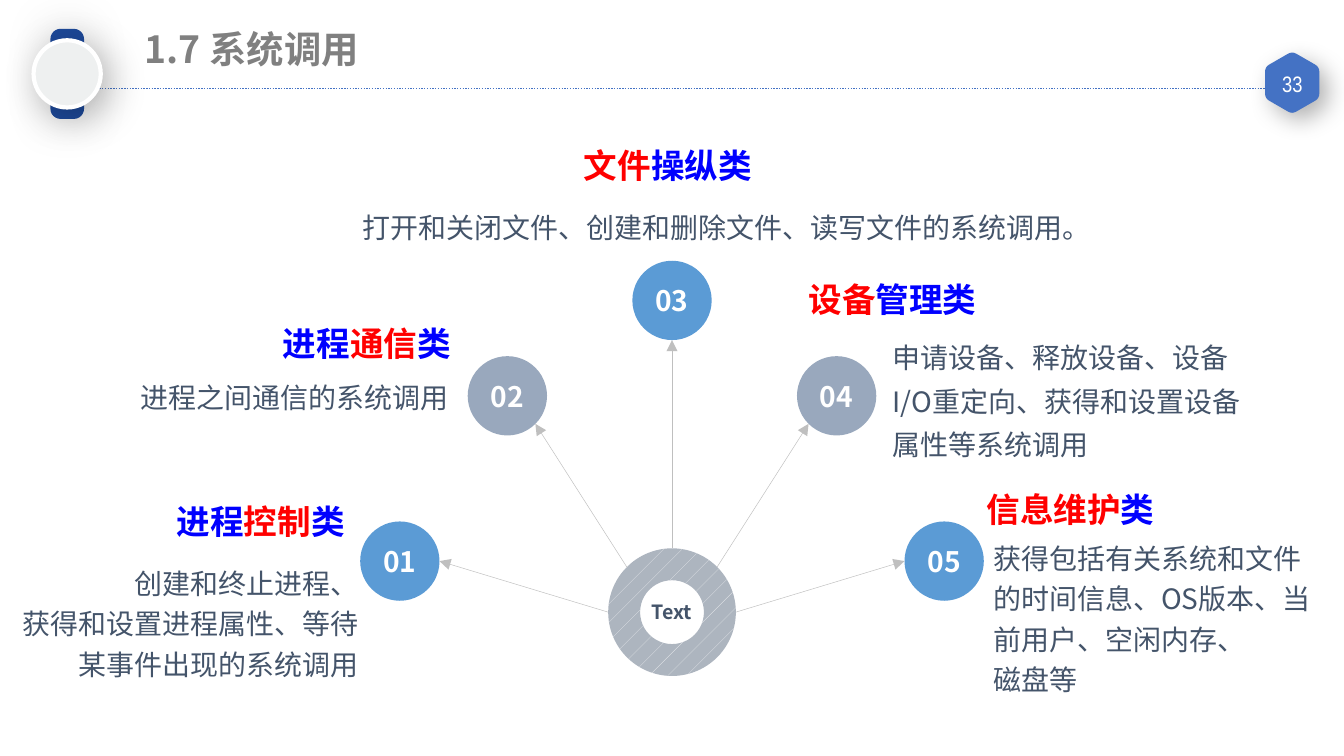
from collections import namedtuple
from math import cos, radians, sin

from lxml.etree import SubElement
from pptx import Presentation
from pptx.dml.color import RGBColor
from pptx.enum.dml import MSO_LINE, MSO_PATTERN
from pptx.enum.shapes import MSO_CONNECTOR, MSO_SHAPE
from pptx.enum.text import MSO_ANCHOR, MSO_AUTO_SIZE, PP_ALIGN
from pptx.oxml.ns import qn
from pptx.util import Inches, Pt

FONT = "Noto Sans CJK SC"
BLUE, RED, SLATE = "0000FF", "FF0000", "44546A"
SKY, STEEL, ACCENT = "5B9BD5", "99A8BD", "4472C4"
LEFT, CENTER, RIGHT = PP_ALIGN.LEFT, PP_ALIGN.CENTER, PP_ALIGN.RIGHT
UNIT = 0.1  # one grid column or row, in inches
COLUMNS, ROWS = 100, 56.25

Box = namedtuple("Box", "left top width height")
Category = namedtuple(
    "Category",
    "number offset color hub_angle align heading heading_box body body_box spacing")

# Offsets run from the hub's centre; text boxes from the fan's corner.
CATEGORIES = [
    Category("01", (-20.25, -3.8), SKY, 180, RIGHT,
             [("进程", BLUE), ("控制", RED), ("类", BLUE)], (5.75, 26.85, 20.6, 3.4),
             ["创建和终止进程、", "获得和设置进程属性、等待某事件出现的系统调用"],
             (0.65, 31.25, 26.7, 10.4), 1.2),
    Category("02", (-12.25, -16.1), STEEL, 225, RIGHT,
             [("进程", BLUE), ("通信", RED), ("类", BLUE)], (13.65, 13.6, 20.6, 3.4),
             ["进程之间通信的系统调用"], (9.2, 17.4, 24.9, 4.9), 1.2),
    Category("03", (0, -23.2), SKY, 270, CENTER,
             [("文件", RED), ("操纵类", BLUE)], (38.95, 0.4, 21.5, 3.4),
             ["打开和关闭文件、创建和删除文件、读写文件的系统调用。"],
             (24, 4.3, 60.1, 4.6), 1.4),
    Category("04", (12.25, -16.1), STEEL, 315, LEFT,
             [("设备", RED), ("管理类", BLUE)], (59.45, 10.35, 20.5, 3.4),
             ["申请设备、释放设备、设备I/O重定向、获得和设置设备属性等系统调用"],
             (65.7, 14.2, 28.5, 9.2), 1.3),
    Category("05", (20.25, -3.8), SKY, 0, LEFT,
             [("信息维护", RED), ("类", BLUE)], (72.7, 26, 20.5, 3.4),
             ["获得包括有关系统和文件的时间信息、OS版本、当前用户、空闲内存、", "磁盘等"],
             (73.2, 29.4, 25.2, 13.3), 1.2),
]


def color(hex_text):
    return RGBColor.from_string(hex_text)


def grid(*units):
    return [Inches(unit * UNIT) for unit in units]


def within(box, left, top, width, height):
    return Box(box.left + left, box.top + top, width, height)


def centered(x, y, size):
    return Box(x - size / 2, y - size / 2, size, size)


def on_circle(x, y, radius, angle):
    return x + radius * cos(radians(angle)), y + radius * sin(radians(angle))


def write(shape, paragraphs, size=15, bold=False, align=LEFT, spacing=None,
          font=FONT, anchor=MSO_ANCHOR.TOP):
    """Fill a shape with paragraphs, each a list of (text, colour) runs."""
    frame = shape.text_frame
    frame.word_wrap = True
    frame.auto_size = MSO_AUTO_SIZE.NONE
    frame.vertical_anchor = anchor
    frame.margin_left = frame.margin_right = Inches(0.07)
    frame.margin_top = frame.margin_bottom = Inches(0.04)
    for index, runs in enumerate(paragraphs):
        paragraph = frame.add_paragraph() if index else frame.paragraphs[0]
        paragraph.alignment = align
        if spacing:
            paragraph.line_spacing = spacing
        for text, run_color in runs:
            run = paragraph.add_run()
            run.text = text
            run.font.size = Pt(size)
            run.font.bold = bold
            run.font.name = font
            run.font.color.rgb = color(run_color)
            east_asian = SubElement(run.font._element, qn("a:ea"))
            east_asian.set("typeface", font)


def add_text(slide, box, paragraphs, **text_format):
    write(slide.shapes.add_textbox(*grid(*box)), paragraphs, **text_format)


def style(shape, fill, line=None, line_width=1.0):
    shape.shadow.inherit = False
    shape.fill.solid()
    shape.fill.fore_color.rgb = color(fill)
    if line:
        shape.line.color.rgb = color(line)
        shape.line.width = Pt(line_width)
    else:
        shape.line.fill.background()


def add_preset(slide, preset, box, fill, **line_format):
    shape = slide.shapes.add_shape(preset, *grid(*box))
    style(shape, fill, **line_format)
    return shape


def cast_shadow(shape, opacity, blur, distance=0, angle=0):
    effects = shape._element.spPr.find(qn("a:effectLst"))
    shadow = SubElement(effects, qn("a:outerShdw"), blurRad=str(Pt(blur)),
                        dist=str(Pt(distance)), dir=str(angle * 60000),
                        algn="ctr", rotWithShape="0")
    black = SubElement(shadow, qn("a:srgbClr"), val="000000")
    SubElement(black, qn("a:alpha"), val=str(opacity * 1000))


def add_line(slide, start, end, line_color, width, dash=None, arrow=False):
    line = slide.shapes.add_connector(MSO_CONNECTOR.STRAIGHT, *grid(*start, *end))
    line.line.color.rgb = color(line_color)
    line.line.width = Pt(width)
    if dash:
        line.line.dash_style = dash
    if arrow:
        SubElement(line.line._get_or_add_ln(), qn("a:tailEnd"), type="triangle")
    SubElement(line._element.spPr, qn("a:effectLst"))


def add_watch(slide, box):
    strap_width = box.width / 2
    strap = add_preset(slide, MSO_SHAPE.ROUNDED_RECTANGLE,
                       within(box, strap_width / 2, 0, strap_width, box.height), "1D4999")
    strap.adjustments[0] = 0.3
    cast_shadow(strap, 17, 27)
    dial_top = (box.height - box.width) / 2
    dial = add_preset(slide, MSO_SHAPE.OVAL, within(box, 0, dial_top, box.width, box.width),
                      "EEF0F0", line="FFFFFF", line_width=2.25)
    cast_shadow(dial, 28, 22, 6, 45)


def add_page_badge(slide, box, number):
    """Draw a hexagon with rounded corners around the page number."""
    x, y = box.left + box.width / 2, box.top + box.height / 2
    corners = [on_circle(x, y, box.height / 2, angle) for angle in range(-90, 270, 60)]
    outline = []
    for index, corner in enumerate(corners):
        before, after = corners[index - 1], corners[(index + 1) % 6]
        for step in range(5):
            share = step / 4
            back, ahead = 0.14 * (1 - share) ** 2, 0.14 * share ** 2
            outline.append(tuple(Inches(UNIT * (c + back * (b - c) + ahead * (a - c)))
                                 for b, c, a in zip(before, corner, after)))
    builder = slide.shapes.build_freeform(*outline[0])
    builder.add_line_segments(outline[1:], close=True)
    badge = builder.convert_to_shape()
    style(badge, ACCENT, line=ACCENT)
    cast_shadow(badge, 30, 13, 6, 45)
    add_text(slide, within(box, 0, 1.1, box.width, 2.5), [[(number, "FFFFFF")]], size=12,
             font="Arial Narrow", align=CENTER, anchor=MSO_ANCHOR.MIDDLE)


def add_header(slide, box, title, number):
    add_line(slide, (box.left + 3.3, box.top + 6.6), (box.left + 94.3, box.top + 6.6),
             ACCENT, 0.75, dash=MSO_LINE.ROUND_DOT)
    add_watch(slide, within(box, 2.5, 2.15, 5, 6.7))
    add_page_badge(slide, within(box, 94.2, 3.9, 3.9, 4.5), number)
    placeholder = slide.shapes.title
    title_box = grid(*within(box, 10.05, 1.6, 50.8, 4.1))
    placeholder.left, placeholder.top, placeholder.width, placeholder.height = title_box
    write(placeholder, [[(title, "808080")]], size=20, bold=True, anchor=MSO_ANCHOR.MIDDLE)


def add_hub(slide, box):
    hub = add_preset(slide, MSO_SHAPE.DONUT, box, "ADB5BF")
    hub.adjustments[0] = 0.25
    hub.fill.patterned()
    hub.fill.pattern = MSO_PATTERN.PERCENT_5
    hub.fill.fore_color.rgb = color("E4E6EA")
    hub.fill.back_color.rgb = color("ADB5BF")
    write(hub, [[("Text", SLATE)]], size=10.5, bold=True, align=CENTER,
          anchor=MSO_ANCHOR.MIDDLE)


def add_category(slide, box, category, hub_center, hub_size, node_size=5.9):
    x, y = (hub + shift for hub, shift in zip(hub_center, category.offset))
    add_line(slide, on_circle(*hub_center, hub_size / 2, category.hub_angle),
             on_circle(x, y, node_size / 2, category.hub_angle + 180),
             "BFBFBF", 0.25, arrow=True)
    node = add_preset(slide, MSO_SHAPE.OVAL, centered(x, y, node_size), category.color)
    write(node, [[(category.number, "FFFFFF")]], size=15.1, bold=True, align=CENTER,
          anchor=MSO_ANCHOR.MIDDLE)
    add_text(slide, within(box, *category.body_box),
             [[(text, SLATE)] for text in category.body],
             align=category.align, spacing=category.spacing)
    add_text(slide, within(box, *category.heading_box), [category.heading],
             size=18, bold=True, align=category.align)


def add_fan(slide, box, categories):
    hub_center, hub_size = (box.left + box.width / 2, box.top + 35.55), 9.5
    add_hub(slide, centered(*hub_center, hub_size))
    for category in categories:
        add_category(slide, box, category, hub_center, hub_size)


def main():
    presentation = Presentation()
    presentation.slide_width, presentation.slide_height = grid(COLUMNS, ROWS)
    slide = presentation.slides.add_slide(presentation.slide_layouts[5])
    add_header(slide, Box(0, 0, COLUMNS, 10), "1.7 系统调用", "33")
    add_fan(slide, Box(0, 10, COLUMNS, ROWS - 10), CATEGORIES)
    presentation.save("out.pptx")


if __name__ == "__main__":
    main()
